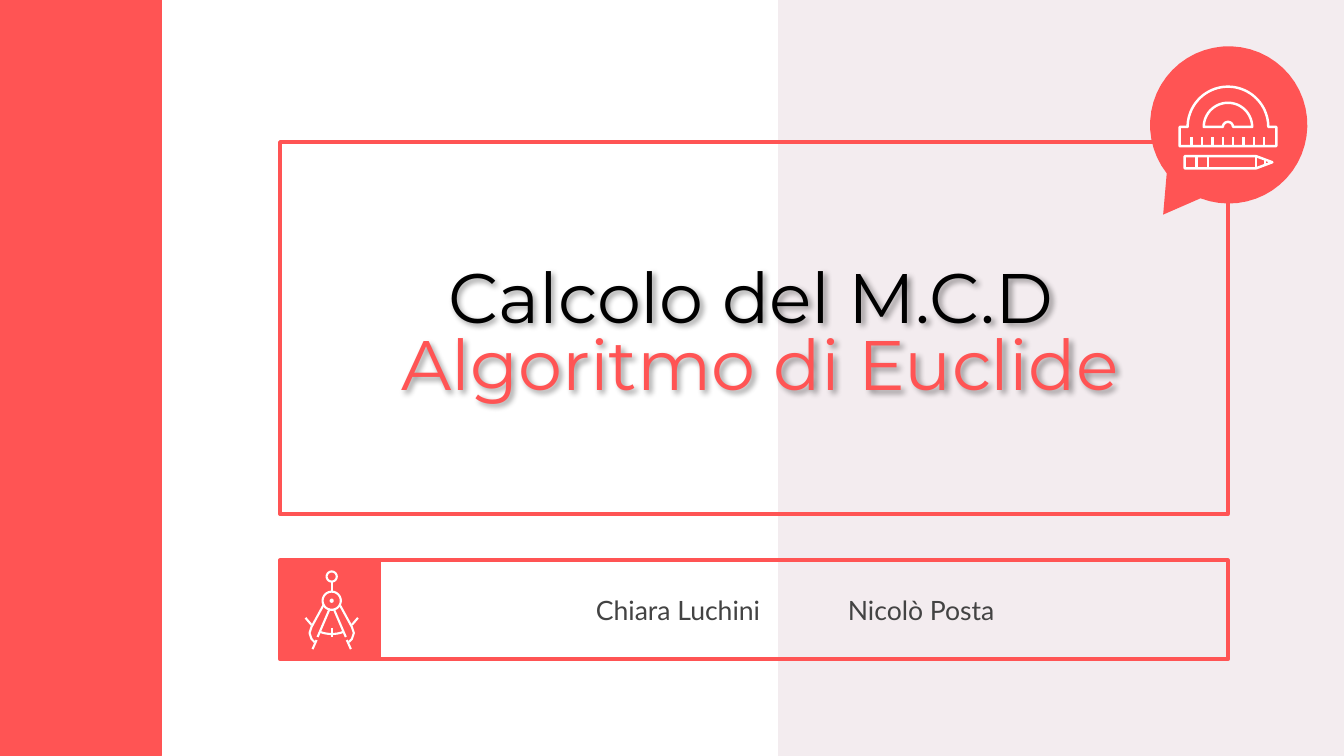
from math import cos, radians, sin

from pptx import Presentation, util as u
from pptx.dml.color import RGBColor
from pptx.enum import shapes, text
from pptx.oxml import parse_xml
from pptx.oxml.ns import nsdecls

HUE = {"red": "FF5454", "pale": "F3ECEF", "black": "000000",
       "gray": "434343", "white": "FFFFFF"}
TITLE = [("Calcolo del M.C.D ", "black"), ("Algoritmo di Euclide", "red")]
NAMES = [("Chiara Luchini \tNicolò Posta", "gray")]

# left, top, width, height in percent of the slide; fill, line, line width
PANELS = [
    ((57.9, 0, 42.1, 100), "pale", None, 0),
    ((20.85, 18.8, 70.5, 49.2), None, "red", 3),
    ((28.2, 74.13, 63.15, 13.07), None, "red", 3),
    ((20.85, 74.13, 7.35, 13.07), "red", "red", 3),
    ((0, 0, 12, 100), "red", "red", 0.75),
]
TITLE_BOX = (23.63, 23.6, 65.87, 41.87)
NAMES_BOX = (28.36, 74.13, 63.1, 13.07)

# icon centres in percent of the slide
BUBBLE, RULER, COMPASS = (91.42, 16.53), (91.37, 16.8), (24.68, 79.47)


def arc(rad, start, end, x=0, y=0):
    """Points on a circle, clockwise from start to end in degrees."""
    turns = [radians(start + (end - start) * i / 48) for i in range(49)]
    return [(x + rad * cos(a), y + rad * sin(a)) for a in turns]


def flip(path):
    return [(-x, y) for x, y in path]


# icon outlines in inches from the icon's centre
TAIL = arc(0.78, 142, 471) + [(-0.65, 0.89)]
BODY = [(-0.48, 0.19), (-0.48, 0), (-0.4, 0), *arc(0.4, 180, 360),
        (0.48, 0), (0.48, 0.19), (-0.48, 0.19)]
WINDOW = arc(0.24, 180, 360) + arc(0.05, 360, 180) + [(-0.24, 0)]
TICKS = [[(x, 0.1), (x, 0.19)] for x in (-0.36 + 0.72 * i / 7 for i in range(8))]
PENCIL = [[(-0.43, 0.29), (0.28, 0.29), (0.44, 0.35), (0.28, 0.41),
           (-0.43, 0.41), (-0.43, 0.29)], [(0.37, 0.33), (0.37, 0.37)]]
BANDS = [[(x, 0.29), (x, 0.41)] for x in (-0.31, -0.2, 0.28)]
LEG = [[(-0.08, 0.04), (-0.2, 0.26), (-0.22, 0.32), (-0.2, 0.38), (-0.17, 0.41)],
       [(-0.15, 0.39), (-0.19, 0.48)],
       [(-0.02, 0.08), (-0.14, 0.36)],
       [(-0.26, 0.17), (-0.2, 0.24)]]
HINGE = [arc(0.09, 0, 360), arc(0.05, 0, 360, y=-0.24), arc(0.01, 0, 360),
         [(0, -0.19), (0, -0.09)], [(0, 0.27), (0, 0.36)],
         arc(0.33, 110, 70)]

prs = Presentation()
prs.slide_width, prs.slide_height = u.Inches(13.33), u.Inches(7.5)
slide = prs.slides.add_slide(prs.slide_layouts[0])


def spot(x, y):
    return int(prs.slide_width * x / 100), int(prs.slide_height * y / 100)


def paint(shape, fill, line, width):
    shape.shadow.inherit = False
    for part, hue in ((shape.fill, fill), (shape.line.fill, line)):
        if hue:
            part.solid()
            part.fore_color.rgb = RGBColor.from_string(HUE[hue])
        else:
            part.background()
    if line:
        shape.line.width = u.Pt(width)


def draw(centre, paths, fill=None, line=None, width=0):
    """Draw all paths of one icon as a single freeform."""
    left, top = spot(*centre)
    moved = [[(left + u.Inches(x), top + u.Inches(y)) for x, y in path]
             for path in paths]
    pen = slide.shapes.build_freeform(*moved[0][0])
    for i, path in enumerate(moved):
        if i:
            pen.move_to(*path[0])
        pen.add_line_segments(path[1:], close=path[0] == path[-1] or bool(fill))
    paint(pen.convert_to_shape(), fill, line, width)


def write(holder, box, lines, font, size, align, space=1):
    holder.left, holder.top = spot(*box[:2])
    holder.width, holder.height = spot(*box[2:])
    frame = holder.text_frame
    frame.word_wrap, frame.auto_size = True, text.MSO_AUTO_SIZE.NONE
    frame.vertical_anchor = text.MSO_ANCHOR.MIDDLE
    frame.margin_left = frame.margin_right = u.Inches(0.13)
    frame.margin_top = frame.margin_bottom = u.Inches(0.13)
    for i, (words, hue) in enumerate(lines):
        para = frame.add_paragraph() if i else frame.paragraphs[0]
        para.alignment, para.line_spacing = align, space
        para.space_before = u.Pt(0)
        run = para.add_run()
        run.text = words
        run.font.name, run.font.size = font, u.Pt(size)
        run.font.color.rgb = RGBColor.from_string(HUE[hue])
    holder.element.getparent().append(holder.element)  # bring to front


for box, *look in PANELS:
    panel = slide.shapes.add_shape(
        shapes.MSO_SHAPE.RECTANGLE, *spot(*box[:2]), *spot(*box[2:]))
    paint(panel, *look)

draw(BUBBLE, [TAIL], fill="red")
draw(RULER, [BODY, WINDOW, *TICKS, *PENCIL, *BANDS], line="white", width=1.75)
draw(COMPASS, HINGE + LEG + [flip(p) for p in LEG], line="white", width=1.5)

title, names = slide.shapes.title, slide.placeholders[1]
write(title, TITLE_BOX, TITLE, "Montserrat", 50, text.PP_ALIGN.CENTER, 0.8)
title.element.spPr.append(parse_xml(
    f'<a:effectLst {nsdecls("a")}><a:outerShdw blurRad="50800" dist="38100" '
    f'dir="2700000"><a:srgbClr val="{HUE["black"]}"><a:alpha val="40000"/>'
    '</a:srgbClr></a:outerShdw></a:effectLst>'))

write(names, NAMES_BOX, NAMES, "Lato", 19, text.PP_ALIGN.LEFT)
props = names.text_frame.paragraphs[0]._p.get_or_add_pPr()
for key, inches in (("marL", 1.5), ("indent", 0.5), ("defTabSz", 1)):
    props.set(key, str(u.Inches(inches)))

prs.save("out.pptx")
